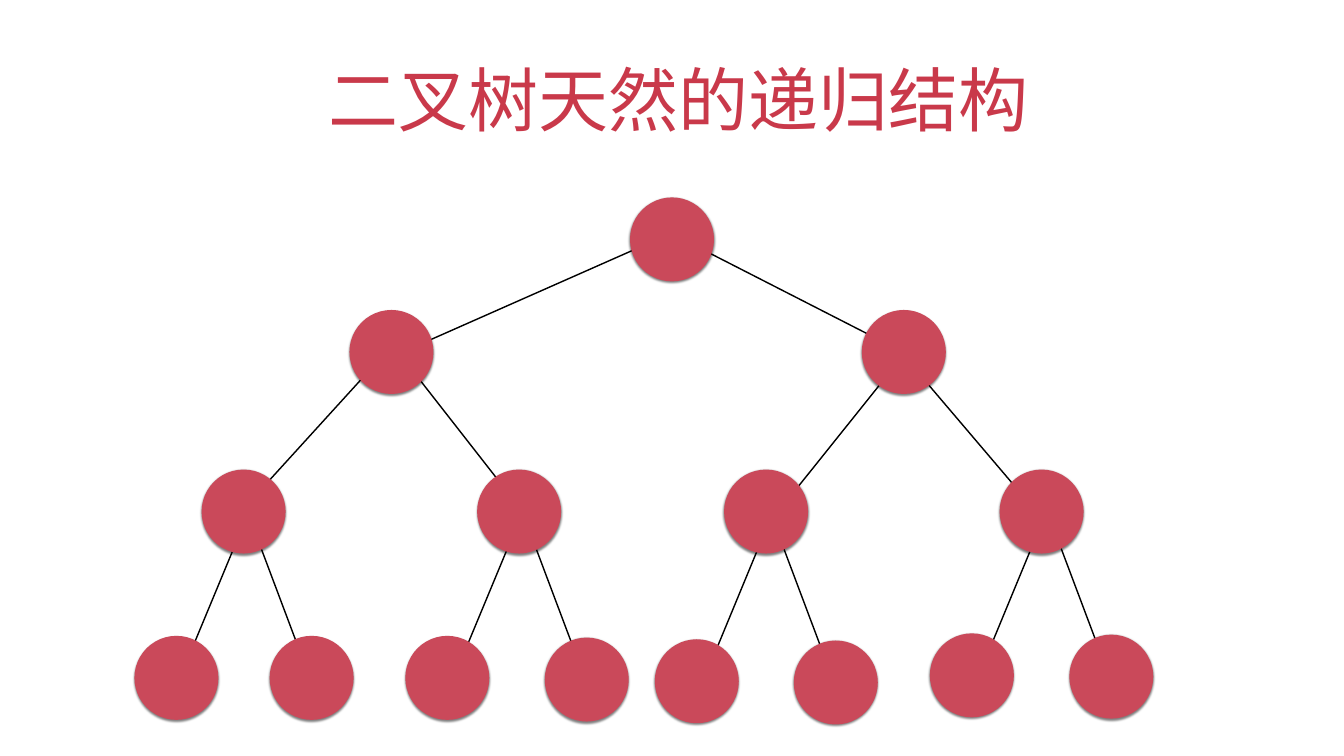
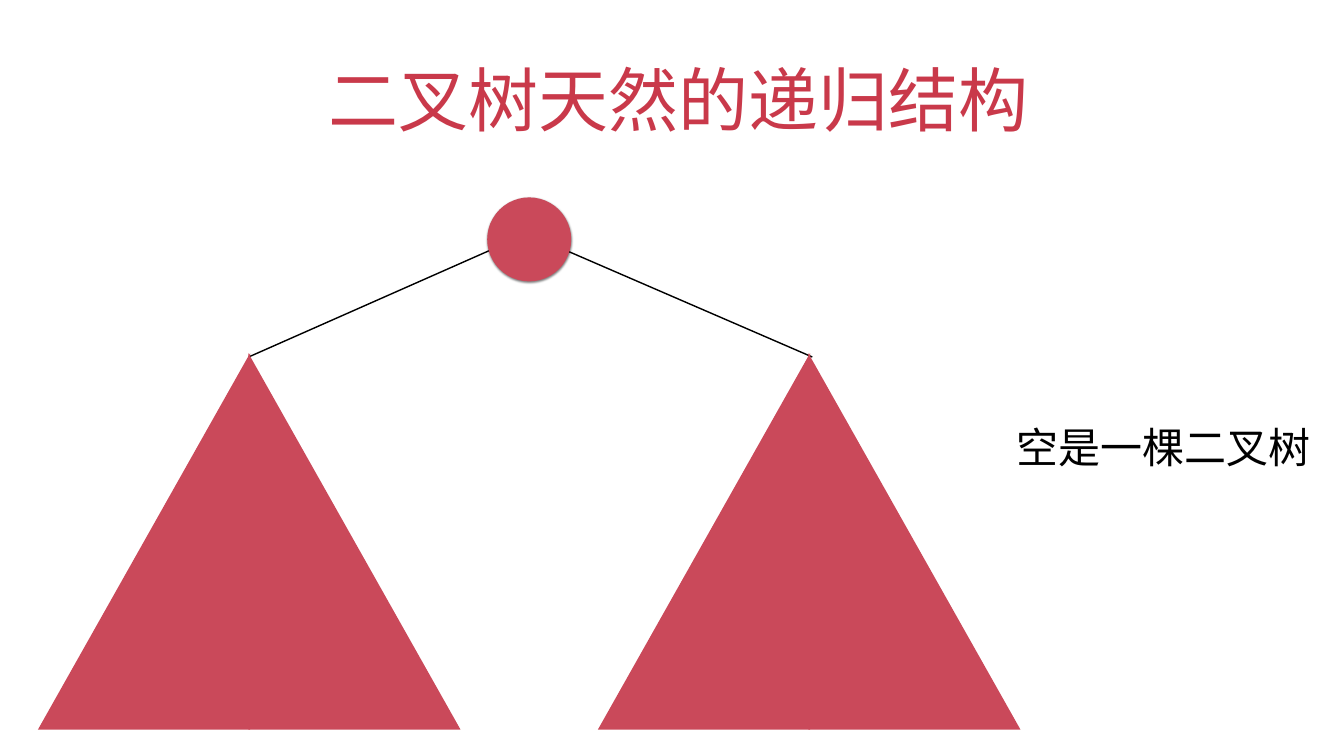
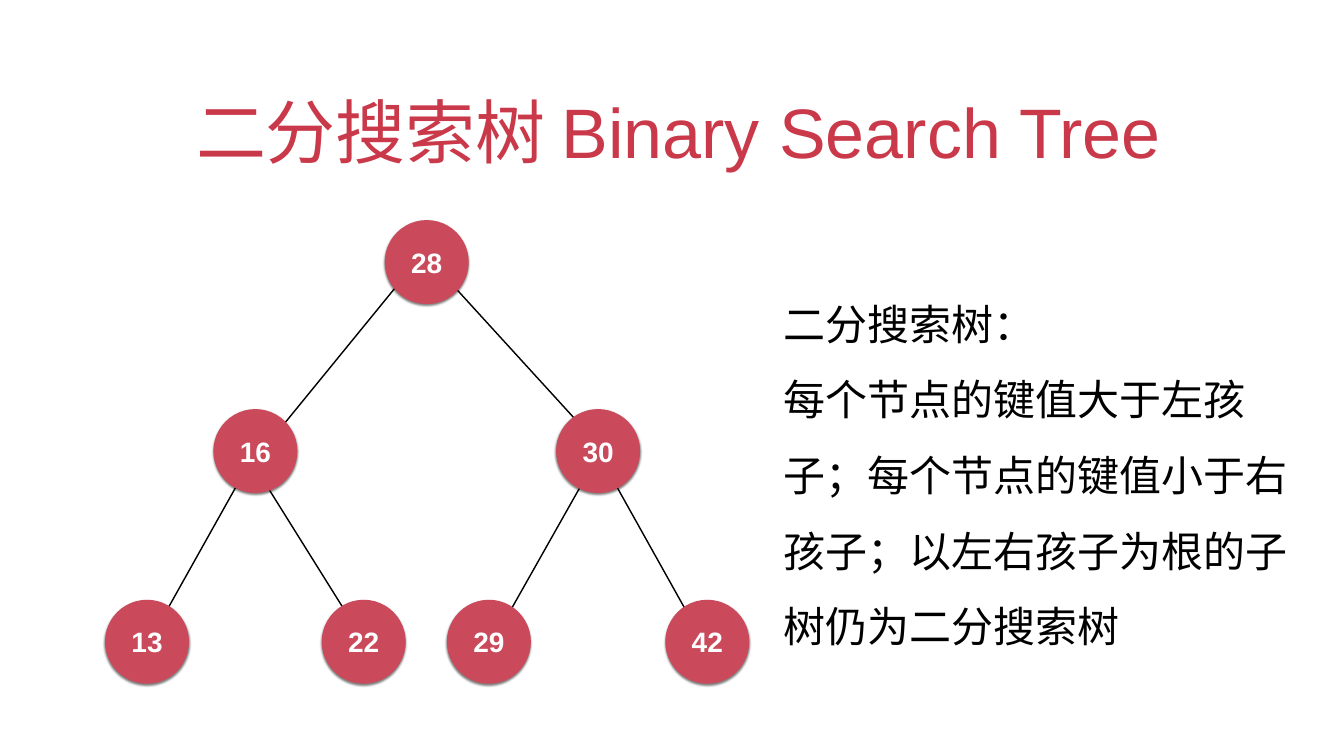
from dataclasses import dataclass

from lxml.etree import SubElement
from pptx import Presentation
from pptx.dml.color import RGBColor
from pptx.enum.shapes import MSO_CONNECTOR, MSO_SHAPE
from pptx.enum.text import MSO_ANCHOR, MSO_AUTO_SIZE, PP_ALIGN
from pptx.oxml.ns import qn
from pptx.util import Inches, Pt

TITLE_RED = RGBColor(0xC9, 0x39, 0x4A)
NODE_RED = RGBColor(0xCA, 0x49, 0x5A)
BLACK = RGBColor(0, 0, 0)
WHITE = RGBColor(0xFF, 0xFF, 0xFF)
FONT = "Arial"

CELL = Inches(1 / 6)
COLS, ROWS = 160, 90
DIAMETER = 10
HALF_WIDTH, SUBTREE_HEIGHT = 25.25, 44.8
APEX_OVERLAP = 0.1
INSET = Inches(0.06)


@dataclass(frozen=True)
class Node:
    """A tree node: its centre on the grid, its edge to the parent, its key."""

    col: float
    row: float
    edge: tuple[float, ...] = ()
    key: str = ""


FULL_TREE = [
    Node(80, 28.5),
    Node(46.6, 41.9, (46.6, 42.5, 79.4, 28)),
    Node(107.6, 41.9, (106.9, 41.6, 80.3, 28)),
    Node(29, 60.9, (28.5, 61.1, 45.7, 42.2)),
    Node(61.8, 60.9, (63.4, 62.4, 46.6, 40.9)),
    Node(91.2, 60.9, (92, 61.7, 108.1, 41.6)),
    Node(124, 60.9, (123.8, 61.4, 107.3, 42)),
    Node(21, 80.7, (21, 81.7, 29.6, 61)),
    Node(37.1, 80.7, (37.3, 81.8, 29.4, 60.8)),
    Node(53.25, 80.7, (53.6, 81.7, 62.2, 61)),
    Node(69.85, 80.9, (70.1, 82, 62.2, 61)),
    Node(82.95, 81.1, (83.3, 82.1, 91.9, 61.3)),
    Node(99.5, 81.25, (99.7, 82.3, 91.8, 61.3)),
    Node(115.7, 80.4, (116.1, 81.4, 124.7, 60.6)),
    Node(132.3, 80.55, (132.5, 81.7, 124.6, 60.7)),
]
SUBTREE_ROOT = Node(63, 28.5)
SUBTREE_APEXES = [
    Node(29.67, 42.05, (29.6, 42.5, 62.4, 28)),
    Node(96.33, 42.05, (96.7, 42.5, 63.2, 28)),
]
SEARCH_TREE = [
    Node(50.8, 31.2, key="28"),
    Node(30.4, 53.7, (30.2, 54.9, 50.2, 30.4), "16"),
    Node(71.2, 53.7, (72.3, 54.1, 51.4, 31.2), "30"),
    Node(17.5, 76.4, (17.6, 76.7, 30.2, 54.2), "13"),
    Node(43.3, 76.4, (43.3, 76.3, 29.8, 54.7), "22"),
    Node(58.2, 76.4, (58.5, 76.7, 71.2, 54.2), "29"),
    Node(84.2, 76.4, (84.3, 77.4, 71, 53.6), "42"),
]


def cells(*lengths: float) -> list[int]:
    """Convert grid lengths to EMU."""
    return [round(length * CELL) for length in lengths]


def write(sp, *lines: str, size: float, color: RGBColor, bold: bool = False,
          align=PP_ALIGN.CENTER, anchor=MSO_ANCHOR.MIDDLE, spacing: float = 1,
          fit=MSO_AUTO_SIZE.NONE) -> None:
    """Fill a shape with one formatted paragraph per line."""
    tf = sp.text_frame
    tf.word_wrap = True
    tf.auto_size = fit
    tf.vertical_anchor = anchor
    tf.margin_left = tf.margin_right = tf.margin_top = tf.margin_bottom = INSET
    for i, line in enumerate(lines):
        p = tf.add_paragraph() if i else tf.paragraphs[0]
        p.alignment = align
        p.line_spacing = spacing
        p._p.get_or_add_pPr().set("hangingPunct", "0")
        r = p.add_run()
        r.text = line
        r.font.name = FONT
        r.font.size = Pt(size)
        r.font.bold = bold
        r.font.color.rgb = color


def add_titled_slide(prs, title: str, top: float = 3.75):
    """Add a slide with a centred red title at the given grid row."""
    s = prs.slides.add_slide(prs.slide_layouts[0])
    subtitle = s.placeholders[1].element
    subtitle.getparent().remove(subtitle)
    sp = s.shapes.title
    sp.left, sp.top, sp.width, sp.height = cells(11.65, top, 136.7, 13.33)
    write(sp, title, size=100, color=TITLE_RED, anchor=MSO_ANCHOR.BOTTOM)
    pPr = sp.text_frame.paragraphs[0]._p.get_or_add_pPr()
    pPr.set("marL", "0")
    pPr.set("indent", str(Inches(0.25)))
    return s


def add_note(s, box: tuple[float, ...], *lines: str, align=PP_ALIGN.LEFT) -> None:
    """Add a black text box beside a tree."""
    sp = s.shapes.add_textbox(*cells(*box))
    write(sp, *lines, size=60, color=BLACK, align=align, spacing=1.5,
          fit=MSO_AUTO_SIZE.SHAPE_TO_FIT_TEXT)


def add_shadow(sp) -> None:
    """Give a shape a soft shadow straight below it."""
    sp.shadow.inherit = False
    effects = sp._element.spPr.find(qn("a:effectLst"))
    shadow = SubElement(effects, qn("a:outerShdw"), blurRad=str(Pt(3)),
                        dist=str(Pt(2)), dir="5400000", rotWithShape="0")
    color = SubElement(shadow, qn("a:srgbClr"), val=str(BLACK))
    SubElement(color, qn("a:alpha"), val="50000")


def add_edges(shapes, nodes: list[Node]) -> None:
    """Draw the black line from each node to its parent."""
    for node in nodes:
        if node.edge:
            line = shapes.add_connector(MSO_CONNECTOR.STRAIGHT, *cells(*node.edge))
            line.line.color.rgb = BLACK
            line.line.width = Pt(2)
            SubElement(line._element.spPr, qn("a:effectLst"))


def paint(sp) -> None:
    """Fill a shape with the node red and remove its outline."""
    sp.fill.solid()
    sp.fill.fore_color.rgb = NODE_RED
    sp.line.fill.background()


def add_node(shapes, node: Node) -> None:
    """Draw a node as a red circle with its key, if any."""
    radius = DIAMETER / 2
    sp = shapes.add_shape(MSO_SHAPE.OVAL, *cells(
        node.col - radius, node.row - radius, DIAMETER, DIAMETER))
    paint(sp)
    add_shadow(sp)
    if node.key:
        write(sp, node.key, size=40, color=WHITE, bold=True)


def add_tree(shapes, nodes: list[Node]) -> None:
    """Draw a binary tree with its nodes in front of its edges."""
    add_edges(shapes, nodes)
    for node in nodes:
        add_node(shapes, node)


def add_subtree(shapes, apex: Node) -> None:
    """Draw a subtree as two right triangles that meet under the apex."""
    bottom = apex.row + SUBTREE_HEIGHT
    for side in (-1, 1):
        col = apex.col - side * APEX_OVERLAP
        outline = shapes.build_freeform(*cells(col, apex.row))
        outline.add_line_segments([
            tuple(cells(col, bottom)),
            tuple(cells(col + side * HALF_WIDTH, bottom)),
        ], close=True)
        sp = outline.convert_to_shape()
        paint(sp)
        sp.shadow.inherit = False


def main() -> None:
    """Build the three slides and save them."""
    prs = Presentation()
    prs.slide_width, prs.slide_height = cells(COLS, ROWS)

    s = add_titled_slide(prs, "二叉树天然的递归结构")
    add_tree(s.shapes, FULL_TREE)

    s = add_titled_slide(prs, "二叉树天然的递归结构")
    add_note(s, (119.2, 47.8, 38.65, 7.7), "空是一棵二叉树", align=PP_ALIGN.CENTER)
    shapes = s.shapes.add_group_shape().shapes
    add_edges(shapes, SUBTREE_APEXES)
    add_node(shapes, SUBTREE_ROOT)
    for apex in SUBTREE_APEXES:
        add_subtree(shapes, apex)

    s = add_titled_slide(prs, "二分搜索树 Binary Search Tree", top=7.6)
    add_tree(s.shapes.add_group_shape().shapes, SEARCH_TREE)
    add_note(s, (92.95, 25.45, 62.5, 59.15), "二分搜索树：",
             "每个节点的键值大于左孩子；每个节点的键值小于右孩子；"
             "以左右孩子为根的子树仍为二分搜索树")

    prs.save("out.pptx")


if __name__ == "__main__":
    main()
